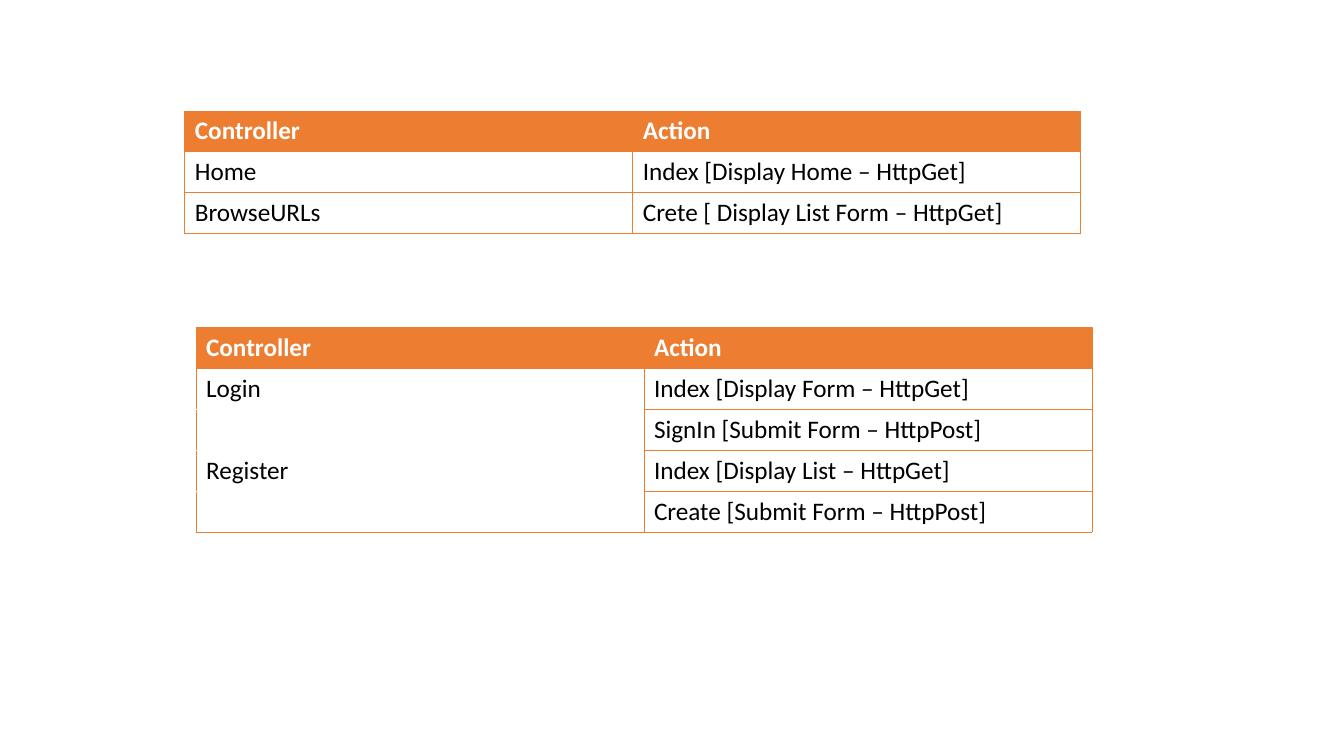
from lxml.etree import SubElement
from pptx import Presentation
from pptx.dml.color import RGBColor
from pptx.oxml.ns import qn
from pptx.util import Emu, Pt

COLORS = {"accent": "ED7D31", "light": "FFFFFF", "text": "000000"}
FONT = "Calibri"
NO_STYLE = "{2D5ABB26-0587-4C30-8999-92F81FD0307C}"

# Square grid: 120 columns across the slide, 67.5 rows down
COLUMNS, ROWS = 120, 67.5
UNIT = 12192000 / COLUMNS
ROW_HEIGHT = 3.65

HEADER = ("Controller", "Action")
BROWSING = [
    HEADER,
    ("Home", "Index [Display Home – HttpGet]"),
    ("BrowseURLs", "Crete [ Display List Form – HttpGet]"),
]
ACCOUNTS = [
    HEADER,
    ("Login", "Index [Display Form – HttpGet]"),
    ("", "SignIn [Submit Form – HttpPost]"),
    ("Register", "Index [Display List – HttpGet]"),
    ("", "Create [Submit Form – HttpPost]"),
]


def grid(units):
    return Emu(round(units * UNIT))


def color(name):
    return RGBColor.from_string(COLORS[name])


def set_border(cell, side, name, points):
    line = SubElement(cell._tc.get_or_add_tcPr(), qn(f"a:ln{side}"), w=str(Pt(points)))
    fill = SubElement(line, qn("a:solidFill"))
    SubElement(fill, qn("a:srgbClr"), val=COLORS[name])


def add_borders(cell, row, column, last_row, open_first_column):
    """Thin accent lines, a stronger divider between columns, none in the header."""
    divider = 0.75 if row else 0
    left, right = (0.5, divider) if column == 0 else (divider, 0.5)
    for side, points in (("L", left), ("R", right)):
        if points:
            set_border(cell, side, "accent", points)
    opened = open_first_column and column == 0
    for side, hidden in (("T", opened and row > 1), ("B", opened and 0 < row < last_row)):
        set_border(cell, side, *(("light", 0.75) if hidden else ("accent", 0.5)))


def format_cell(cell, is_header):
    if is_header:
        cell.fill.solid()
        cell.fill.fore_color.rgb = color("accent")
    else:
        cell.fill.background()
    para = cell.text_frame.paragraphs[0]
    para.font.size = Pt(18)
    for span in para.runs:
        span.font.name = FONT
        span.font.size = Pt(18)
        span.font.bold = is_header
        span.font.color.rgb = color("light" if is_header else "text")


def add_route_table(page, box, records, open_first_column=False):
    """Controller and action table inside box: left, top, width in grid units."""
    left, top, width = map(grid, box)
    height = grid(ROW_HEIGHT * len(records))
    frame = page.shapes.add_table(len(records), len(HEADER), left, top, width, height)
    table = frame.table
    table.horz_banding = False
    table._tbl.tblPr.find(qn("a:tableStyleId")).text = NO_STYLE
    for column in table.columns:
        column.width = width // len(HEADER)
    for row, record in enumerate(records):
        table.rows[row].height = grid(ROW_HEIGHT)
        for column, words in enumerate(record):
            cell = table.cell(row, column)
            cell.text_frame.text = words
            add_borders(cell, row, column, len(records) - 1, open_first_column)
            format_cell(cell, row == 0)


def build_routes_slide(deck):
    page = deck.slides.add_slide(deck.slide_layouts[6])
    # Pages open to everyone
    add_route_table(page, (16.5, 9.9, 80), BROWSING)
    # Account pages, grouped by controller
    add_route_table(page, (17.5, 29.25, 80), ACCOUNTS, open_first_column=True)


deck = Presentation()
deck.slide_width, deck.slide_height = grid(COLUMNS), grid(ROWS)
build_routes_slide(deck)
deck.save("out.pptx")
